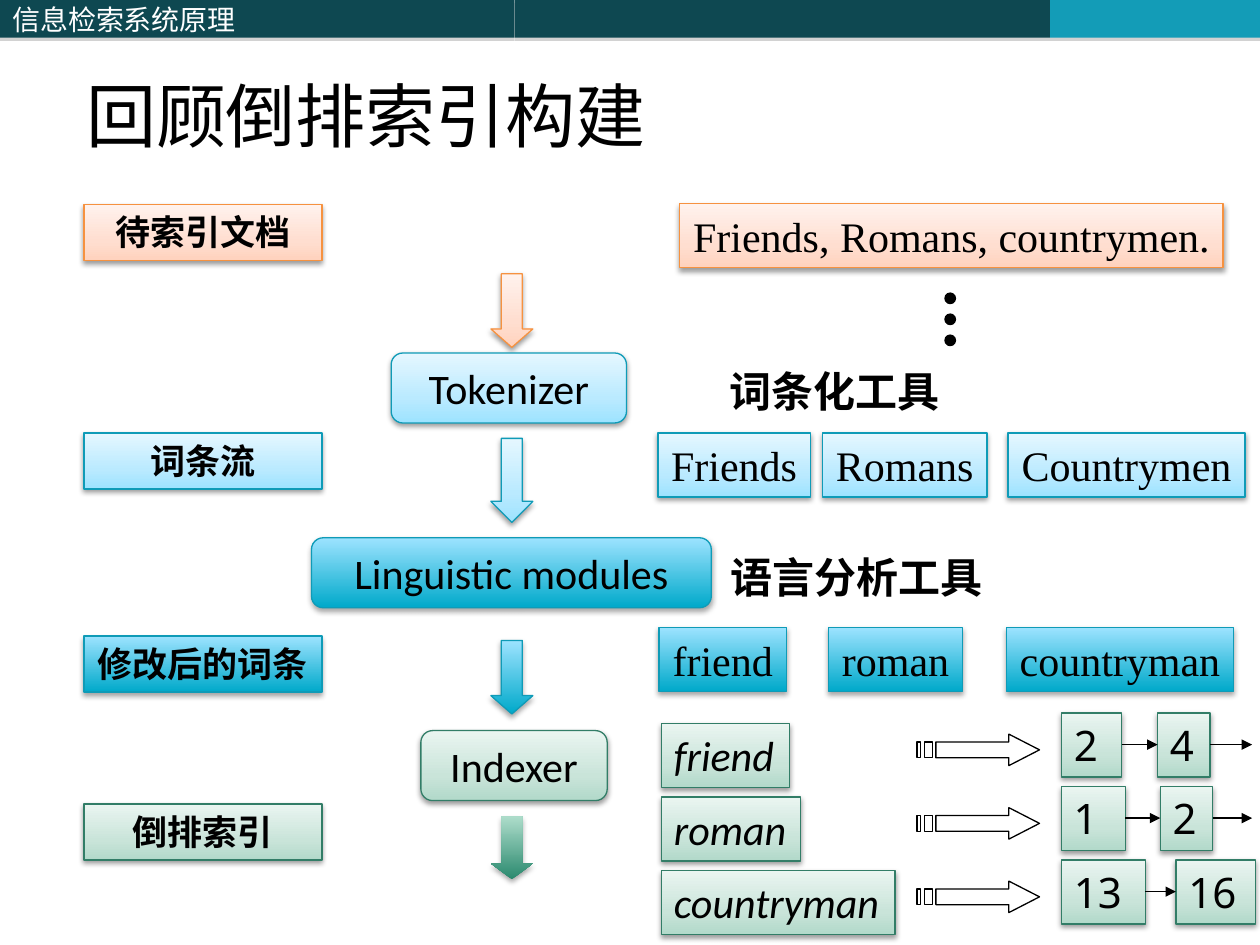
from dataclasses import dataclass

from lxml import etree
from pptx import Presentation
from pptx.dml.color import RGBColor
from pptx.enum.shapes import MSO_CONNECTOR, MSO_SHAPE
from pptx.enum.text import MSO_ANCHOR, PP_ALIGN
from pptx.oxml import parse_xml
from pptx.oxml.ns import qn
from pptx.util import Pt

RECT, OVAL, DOWN = MSO_SHAPE.RECTANGLE, MSO_SHAPE.OVAL, MSO_SHAPE.DOWN_ARROW
PROCESS = MSO_SHAPE.FLOWCHART_ALTERNATE_PROCESS
STRAIGHT = MSO_CONNECTOR.STRAIGHT
LEFT, CENTER = PP_ALIGN.LEFT, PP_ALIGN.CENTER
TOP, MIDDLE, BOTTOM = MSO_ANCHOR.TOP, MSO_ANCHOR.MIDDLE, MSO_ANCHOR.BOTTOM
NS = "http://schemas.openxmlformats.org/drawingml/2006/main"


@dataclass(frozen=True)
class Theme:
    ink: str = "000000"
    white: str = "FFFFFF"
    bar: str = "0E4851"
    bar_accent: str = "139CB7"
    bar_shadow: tuple = ("808080", 35, 0, 1.8)
    soft: tuple = ("000000", 38, 3.1, 1.6)
    strong: tuple = ("000000", 35, 3.1, 1.8)
    east_asian: str = "Noto Sans CJK SC"
    serif: str = "Times New Roman"
    sans: str = "Calibri"
    label: str = "Arial"
    digit: str = "Noto Sans"
    head_size: int = 16
    label_size: int = 20
    body_size: int = 24
    title_size: int = 40


T = Theme()
ORANGE = dict(stops=((0, "FFD2BD"), (35, "FFDED0"), (100, "FFF2ED")), line="F69240", shadow=T.soft)
PALE = dict(stops=((0, "9DE3FF"), (35, "BAEAFF"), (100, "E5F7FF")), line="0F9BB7", shadow=T.soft)
BLUE = dict(stops=((0, "00A9CA"), (100, "9DE3FF")), line="0F9BB7", shadow=T.strong)
GREEN = dict(stops=((0, "B2D9CA"), (35, "C9E4D9"), (100, "EAF5F1")), line="327D67", shadow=T.soft)
DEEP = dict(stops=((0, "2A896E"), (100, "AEDDCB")), line=None, shadow=T.strong)


def style(name, size, align=CENTER, anchor=MIDDLE, wrap=False, color=T.ink, **font):
    return dict(font=dict(name=name, size=Pt(size), **font), align=align,
                frame=dict(vertical_anchor=anchor, word_wrap=wrap), color=color)


HEAD = style(T.east_asian, T.head_size, LEFT, wrap=True, color=T.white)
TITLE = style(T.serif, T.title_size, LEFT, BOTTOM, True)
LABEL = style(T.label, T.label_size, anchor=TOP, bold=True)
MODULE = style(T.sans, T.body_size)
TOKEN = style(T.serif, T.body_size)
TOOL = style(T.serif, T.body_size, bold=True)
TERM = style(T.sans, T.body_size, LEFT, TOP, italic=True)
DOC_ID = style(T.digit, T.body_size, LEFT, TOP, True)


def write(sp, text, fmt):
    tf = sp.text_frame
    for key, value in fmt["frame"].items():
        setattr(tf, key, value)
    p = tf.paragraphs[0]
    p.alignment = fmt["align"]
    r = p.add_run()
    r.text = text
    for key, value in fmt["font"].items():
        setattr(r.font, key, value)
    r.font.color.rgb = RGBColor.from_string(fmt["color"])
    etree.SubElement(r.font._element, qn("a:ea"), typeface=T.east_asian)


def add_shadow(sp, color, alpha, blur, dist):
    sp._element.spPr.append(parse_xml(
        f'<a:effectLst xmlns:a="{NS}"><a:outerShdw blurRad="{Pt(blur)}" dist="{Pt(dist)}" '
        f'dir="5400000" rotWithShape="0"><a:srgbClr val="{color}"><a:alpha val="{alpha * 1000}"/>'
        '</a:srgbClr></a:outerShdw></a:effectLst>'))


def add_plain(s, kind, box, fill, line=None):
    sp = s.shapes.add_shape(kind, *map(Pt, box))
    sp.fill.solid()
    sp.fill.fore_color.rgb = RGBColor.from_string(fill)
    if line:
        sp.line.color.rgb = RGBColor.from_string(line)
        sp.line.width = Pt(0.75)
    else:
        sp.line.fill.background()
    return sp


def add_box(s, kind, box, look, text=None, fmt=None):
    sp = add_plain(s, kind, box, T.white, look["line"])
    stops = "".join(f'<a:gs pos="{pos * 1000}"><a:srgbClr val="{color}"/></a:gs>'
                    for pos, color in look["stops"])
    solid = sp._element.spPr.find(qn("a:solidFill"))
    solid.getparent().replace(solid, parse_xml(
        f'<a:gradFill xmlns:a="{NS}" rotWithShape="1"><a:gsLst>{stops}</a:gsLst>'
        '<a:lin ang="16200000" scaled="0"/></a:gradFill>'))
    add_shadow(sp, *look["shadow"])
    if text:
        write(sp, text, fmt)
    return sp


def add_arrow(s, x1, y1, x2, y2):
    c = s.shapes.add_connector(STRAIGHT, *map(Pt, (x1, y1, x2, y2)))
    c.line.color.rgb = RGBColor.from_string(T.ink)
    c.line.width = Pt(0.75)
    etree.SubElement(c.line._get_or_add_ln(), qn("a:tailEnd"), type="triangle")
    etree.SubElement(c._element.spPr, qn("a:effectLst"))


def add_striped_arrow(s, left, top):
    head = [(52.5, 0), (52.5, 4.5), (10.8, 4.5), (10.8, 13.5), (52.5, 13.5), (52.5, 18), (70, 9)]
    stripes = [[(a, 4.5), (a, 13.5), (b, 13.5), (b, 4.5)] for a, b in ((4.4, 8.7), (0, 2.2))]
    fb = s.shapes.build_freeform(Pt(head[0][0]), Pt(head[0][1]))
    for i, outline in enumerate([head, *stripes]):
        points = [(Pt(x), Pt(y)) for x, y in outline]
        if i:
            fb.move_to(*points[0])
        fb.add_line_segments(points[1:], close=True)
    sp = fb.convert_to_shape(Pt(left), Pt(top))
    sp.fill.background()
    sp.line.color.rgb = RGBColor.from_string(T.ink)
    sp.line.width = Pt(0.75)
    sp.shadow.inherit = False


def header(s, left, top, height):
    for width, fill, text in ((294, T.bar, "信息检索系统原理"), (306, T.bar, None),
                              (120, T.bar_accent, None)):
        sp = add_plain(s, RECT, (left, top, width, height), fill)
        add_shadow(sp, *T.bar_shadow)
        if text:
            write(sp, text, HEAD)
        left += width


def title(s, left, top, width, height):
    sp = s.shapes.title
    for key, value in dict(left=left, top=top, width=width, height=height).items():
        setattr(sp, key, Pt(value))
    write(sp, "回顾倒排索引构建", TITLE)


def stage_labels(s, left, width, height):
    for top, text, look in ((117, "待索引文档", ORANGE), (247.5, "词条流", PALE),
                            (363.5, "修改后的词条", BLUE), (459.5, "倒排索引", GREEN)):
        add_box(s, RECT, (left, top, width, height), look, text, LABEL)


def pipeline(s, center, top):
    for dy, height, look in ((0, 42, ORANGE), (94, 48, PALE), (209.5, 42, BLUE), (310, 36, DEEP)):
        sp = add_box(s, DOWN, (center - 12, top + dy, 24, height), look)
        sp.adjustments[1] = 0.5 if look is PALE else height / 96
    for dx, dy, width, text, look in ((-69, 45.2, 134.5, "Tokenizer", PALE),
                                      (-114.5, 150.8, 228.5, "Linguistic modules", BLUE),
                                      (-52, 261, 106.5, "Indexer", GREEN)):
        add_box(s, PROCESS, (center + dx, top + dy, width, 40), look, text, MODULE)


def examples(s, left, top):
    rows = ((0, ORANGE, ((13, 310.5, "Friends, Romans, countrymen."),)),
            (131, PALE, ((0.5, 87, "Friends"), (94.5, 94, "Romans"), (200.5, 135.5, "Countrymen"))),
            (242, BLUE, ((1, 73, "friend"), (98, 76.5, "roman"), (199.5, 130, "countryman"))))
    for dy, look, tokens in rows:
        for dx, width, text in tokens:
            add_box(s, RECT, (left + dx, top + dy, width, 36.5), look, text, TOKEN)
    for i in range(3):
        sp = add_plain(s, OVAL, (left + 164.5, top + 51 + 12 * i, 6, 6), T.ink, T.ink)
        sp.shadow.inherit = False
    for dx, dy, width, text in ((33.5, 88.5, 136, "词条化工具"), (34, 195, 160, "语言分析工具")):
        sp = s.shapes.add_textbox(*map(Pt, (left + dx, top + dy, width, 36)))
        write(sp, text, TOOL)


def postings(s, left, top, pitch):
    rows = (("friend", 73, ((228.5, 34.5, "2"), (283.5, 30, "4")), True),
            ("roman", 79.5, ((228.5, 36.5, "1"), (285, 30, "2")), True),
            ("countryman", 133.5, ((228.5, 48, "13"), (294, 45.5, "16")), False))
    for i, (term, width, ids, more) in enumerate(rows):
        y = top + i * pitch
        add_box(s, RECT, (left, y + 6, width, 36.5), GREEN, term, TERM)
        add_striped_arrow(s, left + 146, y + 12)
        for dx, w, text in ids:
            add_box(s, RECT, (left + dx, y, w, 36.5), GREEN, text, DOC_ID)
        (x1, w1, _), (x2, w2, _) = ids
        add_arrow(s, left + x1 + w1, y + 18, left + x2, y + 18)
        if more:
            add_arrow(s, left + x2 + w2, y + 18, left + 337.5, y + 18)


def main():
    prs = Presentation()
    prs.slide_width, prs.slide_height = Pt(720), Pt(540)
    s = prs.slides.add_slide(prs.slide_layouts[5])
    header(s, 0, 0, 21.6)
    title(s, 42, 26, 636, 67)
    stage_labels(s, 48, 136, 32)
    pipeline(s, 292.5, 156.5)
    examples(s, 375.5, 116.5)
    postings(s, 378, 407.5, 42)
    prs.save("out.pptx")


if __name__ == "__main__":
    main()
